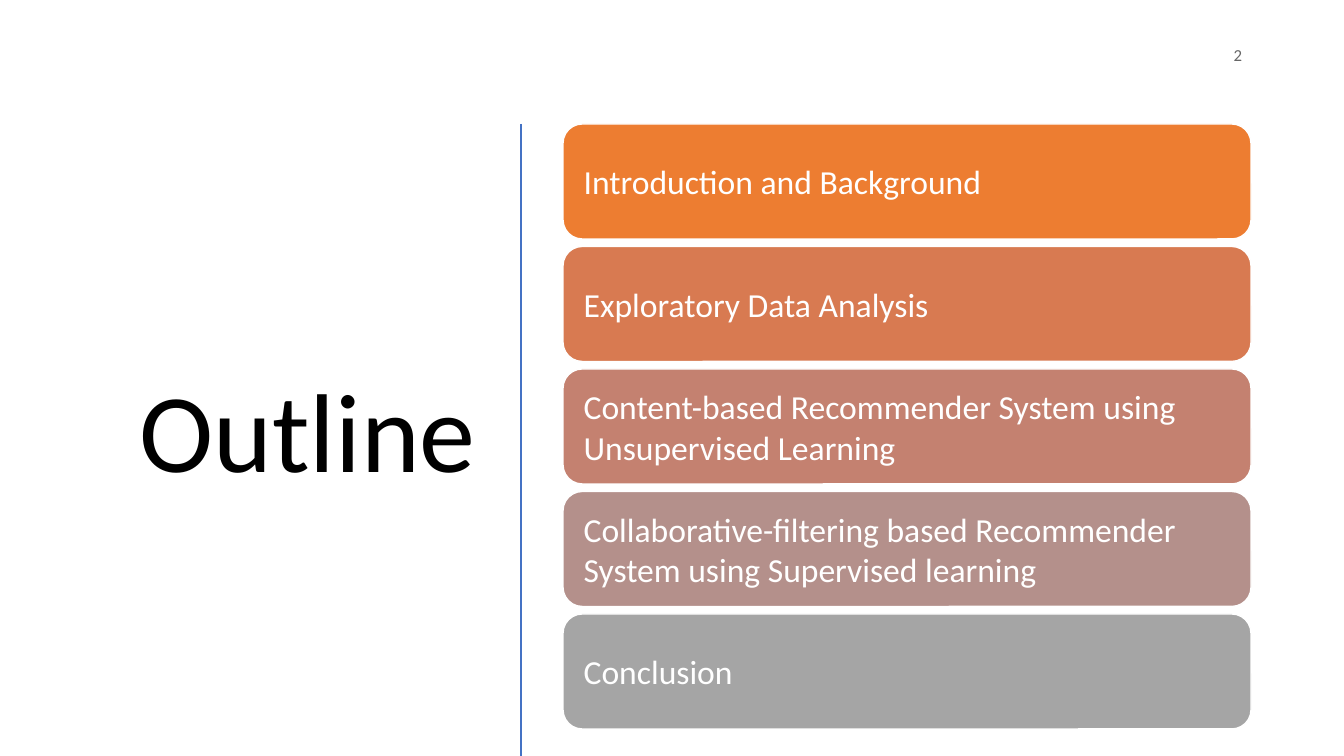
from pptx import Presentation
from pptx.dml.color import RGBColor
from pptx.enum.shapes import MSO_CONNECTOR as Connector, MSO_SHAPE as Shape
from pptx.enum.text import MSO_ANCHOR as Anchor, PP_ALIGN as Align
from pptx.oxml.ns import qn
from pptx.util import Pt
from lxml.etree import SubElement

TITLE = "Outline"
PAGE_NUMBER = "2"
TOPICS = [
    ("Introduction and Background", "ED7D31"),
    ("Exploratory Data Analysis", "D87A51"),
    ("Content-based Recommender System using Unsupervised Learning", "C48170"),
    ("Collaborative-filtering based Recommender System using Supervised learning", "B4908B"),
    ("Conclusion", "A5A5A5"),
]

FONT = "Calibri"
SLIDE_SIZE = (1344, 756)
TITLE_BOX = (52, 118, 434, 637)
NUMBER_BOX = (950, 35, 302, 40)
DIVIDER = (521, 124, 521, 756)
BARS_LEFT, BARS_TOP, BARS_BOTTOM = 563, 124, 729
BAR_WIDTH, BAR_HEIGHT = 688, 115
BAR_INSET = 15


def px(value):
    """Turn pixels (100.8 to the inch) into EMU."""
    return round(value * 914400 / 100.8)


def color(value):
    return RGBColor.from_string(value)


def write(shape, text, size, text_color, align):
    frame = shape.text_frame
    frame.text = text
    frame.word_wrap = True
    frame.vertical_anchor = Anchor.MIDDLE
    paragraph = frame.paragraphs[0]
    paragraph.alignment = align
    font = paragraph.runs[0].font
    font.name, font.size = FONT, Pt(size)
    font.color.rgb = color(text_color)
    return paragraph


def add_label(slide, box, text, size, text_color):
    label = slide.shapes.add_textbox(*map(px, box))
    return write(label, text, size, text_color, Align.RIGHT)


def add_divider(slide):
    divider = slide.shapes.add_connector(Connector.STRAIGHT, *map(px, DIVIDER))
    divider.line.color.rgb = color("4472C4")
    divider.line.width = Pt(2)
    SubElement(divider._element.spPr, qn("a:effectLst"))


def add_bar(slide, top, text, fill):
    box = (BARS_LEFT, top, BAR_WIDTH, BAR_HEIGHT)
    bar = slide.shapes.add_shape(Shape.ROUNDED_RECTANGLE, *map(px, box))
    bar.shadow.inherit = False
    bar.fill.solid()
    bar.fill.fore_color.rgb = color(fill)
    bar.line.color.rgb = color("FFFFFF")
    bar.line.width = Pt(1)
    write(bar, text, 24, "FFFFFF", Align.LEFT)
    bar.text_frame.margin_left = bar.text_frame.margin_right = px(BAR_INSET)


def main():
    presentation = Presentation()
    presentation.slide_width, presentation.slide_height = map(px, SLIDE_SIZE)
    slide = presentation.slides.add_slide(presentation.slide_layouts[6])

    title = add_label(slide, TITLE_BOX, TITLE, 80, "000000")
    title.line_spacing = 0.9
    add_label(slide, NUMBER_BOX, PAGE_NUMBER, 12, "666666")
    add_divider(slide)

    pitch = (BARS_BOTTOM - BAR_HEIGHT - BARS_TOP) / (len(TOPICS) - 1)
    for index, (text, fill) in enumerate(TOPICS):
        add_bar(slide, BARS_TOP + index * pitch, text, fill)

    presentation.save("out.pptx")


if __name__ == "__main__":
    main()
